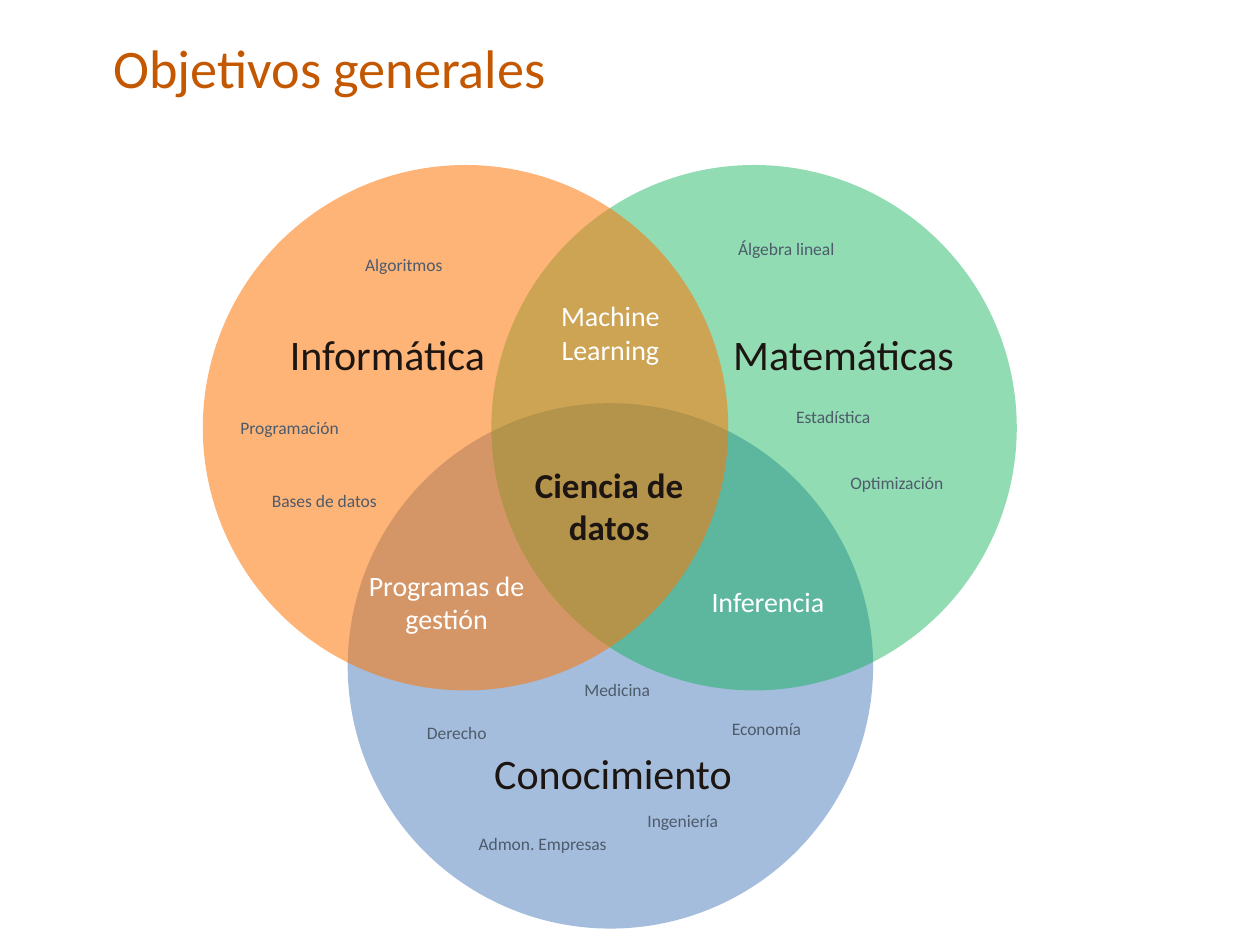
from pptx import Presentation
from pptx.dml.color import RGBColor
from pptx.enum.shapes import MSO_SHAPE
from pptx.enum.text import MSO_ANCHOR, MSO_AUTO_SIZE, PP_ALIGN
from pptx.oxml import parse_xml
from pptx.oxml.ns import nsdecls, qn
from pptx.util import Inches, Pt

FONT = "Calibri"
RUST = RGBColor(0xC3, 0x58, 0x00)
BLUE = RGBColor(0x4A, 0x7C, 0xBB)
GREEN = RGBColor(0x00, 0xB0, 0x50)
ORANGE = RGBColor(0xFF, 0x76, 0x05)
DARK = RGBColor(0x1C, 0x15, 0x11)
SLATE = RGBColor(0x4D, 0x5B, 0x6B)
WHITE = RGBColor(0xFF, 0xFF, 0xFF)

DIAMETER = 4.17
TOPIC_WIDTH, TOPIC_HEIGHT = 1.26, 0.27

CIRCLES = [
    (2.76, 3.2, BLUE, 50),
    (3.9, 1.31, GREEN, 43),
    (1.61, 1.31, ORANGE, 54),
]
FIELDS = [
    ("Informática", 2.09, 2.56, 1.97),
    ("Matemáticas", 5.71, 2.56, 1.97),
    ("Conocimiento", 3.82, 5.88, 2.09),
]
OVERLAPS = [
    ("Programas de gestión", 2.56, 4.46, 1.97, 0.64),
    ("Inferencia", 5.31, 4.59, 1.57, 0.37),
    ("Machine Learning", 4.06, 2.32, 1.57, 0.64),
]
TOPICS = [
    ("Algoritmos", 2.8, 1.97),
    ("Programación", 1.81, 3.26),
    ("Bases de datos", 2.06, 3.84),
    ("Álgebra lineal", 5.76, 1.84),
    ("Estadística", 6.22, 3.17),
    ("Optimización", 6.65, 3.7),
    ("Economía", 5.71, 5.65),
    ("Medicina", 4.54, 5.34),
    ("Derecho", 3.29, 5.68),
    ("Admon. Empresas", 3.7, 6.56),
    ("Ingeniería", 5.04, 6.38),
]


def write_text(shape, text, size, color, alignment, bold=False):
    """Put one formatted run in the shape."""
    shape.text_frame.word_wrap = True
    paragraph = shape.text_frame.paragraphs[0]
    paragraph.alignment = alignment
    run = paragraph.add_run()
    run.text = text
    run.font.name = FONT
    run.font.size = Pt(size)
    run.font.bold = bold
    run.font.color.rgb = color


def set_title(slide, text):
    """Place and format the title placeholder."""
    title = slide.shapes.title
    title.left, title.top = Inches(0.8), Inches(0.22)
    title.width, title.height = Inches(7.56), Inches(0.55)
    title.text_frame.auto_size = MSO_AUTO_SIZE.NONE
    title.text_frame.vertical_anchor = MSO_ANCHOR.TOP
    write_text(title, text, 31, RUST, PP_ALIGN.LEFT)


def add_circle(slide, left, top, color, opacity):
    """Add a translucent circle with opacity in percent."""
    circle = slide.shapes.add_shape(
        MSO_SHAPE.OVAL, Inches(left), Inches(top), Inches(DIAMETER), Inches(DIAMETER)
    )
    circle.shadow.inherit = False
    circle.line.fill.background()
    circle.fill.solid()
    circle.fill.fore_color.rgb = color
    alpha = parse_xml(f'<a:alpha {nsdecls("a")} val="{opacity * 1000}"/>')
    circle.element.spPr.find(qn("a:solidFill"))[0].append(alpha)


def add_label(slide, text, left, top, width, height, size, color,
              alignment=PP_ALIGN.CENTER, bold=False):
    """Add a wrapped text box that grows with its text."""
    label = slide.shapes.add_textbox(
        Inches(left), Inches(top), Inches(width), Inches(height)
    )
    label.text_frame.auto_size = MSO_AUTO_SIZE.SHAPE_TO_FIT_TEXT
    write_text(label, text, size, color, alignment, bold)


def main():
    """Build the Venn diagram slide and save it."""
    presentation = Presentation()
    presentation.slide_width, presentation.slide_height = Inches(10), Inches(7.5)
    slide = presentation.slides.add_slide(presentation.slide_layouts[5])
    set_title(slide, "Objetivos generales")
    for circle in CIRCLES:
        add_circle(slide, *circle)
    add_label(slide, "Ciencia de datos", 3.85, 3.63, 1.97, 0.77, 20, DARK, bold=True)
    for text, left, top, width in FIELDS:
        add_label(slide, text, left, top, width, 0.5, 24, DARK)
    for overlap in OVERLAPS:
        add_label(slide, *overlap, 16, WHITE)
    for topic in TOPICS:
        add_label(slide, *topic, TOPIC_WIDTH, TOPIC_HEIGHT, 10, SLATE, PP_ALIGN.LEFT)
    presentation.save("out.pptx")


if __name__ == "__main__":
    main()
